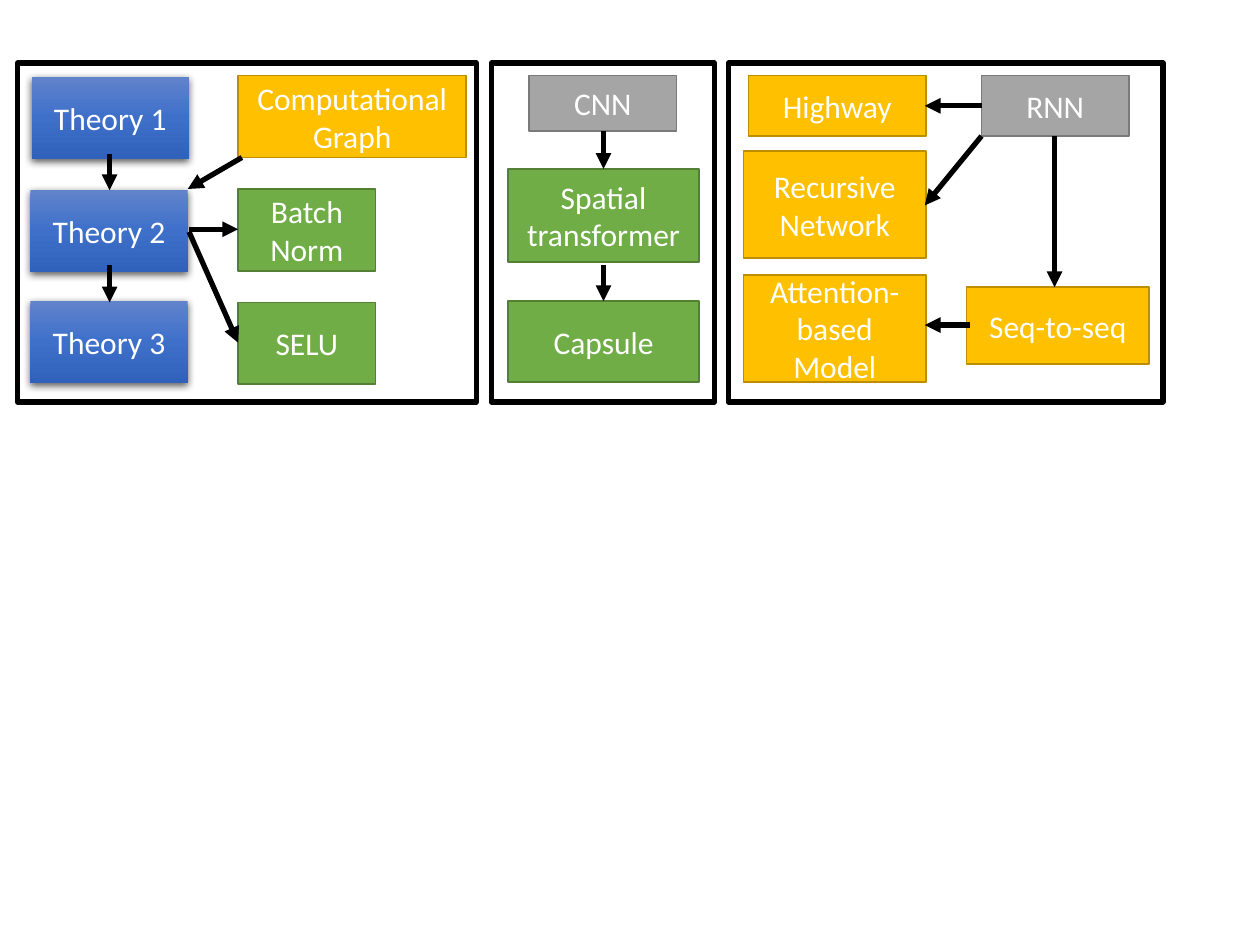
"""Build a slide mapping deep-learning topics in three framed groups."""
from copy import deepcopy
from dataclasses import dataclass, field
from typing import NamedTuple, Optional

from lxml import etree
from pptx import Presentation
from pptx.dml.color import RGBColor
from pptx.enum.shapes import MSO_CONNECTOR, MSO_SHAPE
from pptx.enum.text import MSO_ANCHOR, PP_ALIGN
from pptx.oxml import parse_xml
from pptx.oxml.ns import nsdecls, qn
from pptx.util import Emu, Inches, Pt

RECT = MSO_SHAPE.RECTANGLE
STRAIGHT = MSO_CONNECTOR.STRAIGHT
MIDDLE = MSO_ANCHOR.MIDDLE
CENTER = PP_ALIGN.CENTER
COLUMNS = 100


class Paint(NamedTuple):
    fill: str
    line: str


@dataclass(frozen=True)
class Theme:
    font: str = "Calibri"
    size: float = 18
    text: str = "FFFFFF"
    ink: str = "000000"
    thick: float = 3
    thin: float = 1
    gradient: tuple = ((0, "6183CB"), (0.5, "3E70CA"), (1, "3062BB"))
    paints: dict = field(default_factory=lambda: {
        "gold": Paint("FFC000", "BD8E00"),
        "green": Paint("70AD47", "538035"),
        "gray": Paint("A5A5A5", "7A7A7A"),
    })


class Area(NamedTuple):
    col: float
    row: float
    cols: float
    rows: float


class Box(NamedTuple):
    text: str
    area: Area
    paint: Optional[str] = None


class Arrow(NamedTuple):
    col: float
    row: float
    to_col: float
    to_row: float


THEME = Theme()

FRAMES = [Area(col, 5, cols, 26.9) for col, cols in ((1.4, 36.4), (39, 17.7), (57.8, 34.5))]

BOXES = [
    Box("Theory 1", Area(2.5, 6.1, 12.5, 6.5)),
    Box("Theory 2", Area(2.4, 15.1, 12.5, 6.5)),
    Box("Theory 3", Area(2.4, 23.9, 12.5, 6.5)),
    Box("Computational Graph", Area(18.9, 6, 18.1, 6.5), "gold"),
    Box("Batch Norm", Area(18.9, 15, 10.9, 6.5), "green"),
    Box("SELU", Area(18.9, 24, 10.9, 6.5), "green"),
    Box("CNN", Area(42, 6, 11.7, 4.4), "gray"),
    Box("Spatial transformer", Area(40.3, 13.4, 15.2, 7.4), "green"),
    Box("Capsule", Area(40.3, 23.9, 15.2, 6.4), "green"),
    Box("Highway", Area(59.4, 6, 14.1, 4.8), "gold"),
    Box("Recursive Network", Area(59, 12, 14.5, 8.5), "gold"),
    Box("Attention-based Model", Area(59, 21.8, 14.5, 8.5), "gold"),
    Box("RNN", Area(77.9, 6, 11.7, 4.8), "gray"),
    Box("Seq-to-seq", Area(76.7, 22.8, 14.5, 6.1), "gold"),
]

ARROWS = [
    Arrow(8.7, 12.2, 8.7, 15.1),
    Arrow(8.7, 21, 8.7, 24),
    Arrow(19.2, 12.5, 14.9, 15),
    Arrow(15, 18.2, 18.9, 18.2),
    Arrow(15, 18.4, 18.9, 27.2),
    Arrow(47.9, 10.4, 47.9, 13.4),
    Arrow(47.9, 21, 47.9, 23.9),
    Arrow(77.9, 8.4, 73.4, 8.4),
    Arrow(77.9, 10.8, 73.4, 16.3),
    Arrow(83.7, 10.8, 83.7, 22.8),
    Arrow(77, 25.8, 73.4, 25.8),
]


def rgb(code: str) -> RGBColor:
    """Turn a hex code into a colour."""
    return RGBColor.from_string(code)


def place(unit: float, cells: tuple) -> list:
    """Turn grid cells into slide lengths."""
    return [Emu(round(unit * n)) for n in cells]


def add_rect(s, unit: float, area: Area):
    """Add a rectangle without a theme shadow."""
    sp = s.shapes.add_shape(RECT, *place(unit, area))
    sp.shadow.inherit = False
    return sp


def set_line(line, color: str, width: float) -> None:
    """Set the colour and width of a line."""
    line.color.rgb = rgb(color)
    line.width = Pt(width)


def add_frame(s, unit: float, area: Area) -> None:
    """Add an unfilled frame around a group."""
    sp = add_rect(s, unit, area)
    sp.fill.background()
    set_line(sp.line, THEME.ink, THEME.thick)


def shade(sp) -> None:
    """Give a shape the vertical gradient and a soft shadow."""
    sp.fill.gradient()
    sp.fill.gradient_angle = 270
    stops = sp._element.spPr.find(".//" + qn("a:gsLst"))
    stops.insert(1, deepcopy(stops[0]))
    for stop, (position, color) in zip(sp.fill.gradient_stops, THEME.gradient):
        stop.position = position
        stop.color.rgb = rgb(color)
    sp.line.fill.background()
    sp._element.spPr.find(qn("a:effectLst")).append(parse_xml(
        f'<a:outerShdw {nsdecls("a")} blurRad="{Pt(4.5)}" dist="{Pt(1.5)}" dir="5400000"'
        f' algn="ctr" rotWithShape="0"><a:srgbClr val="{THEME.ink}">'
        '<a:alpha val="63000"/></a:srgbClr></a:outerShdw>'))


def add_box(s, unit: float, box: Box) -> None:
    """Add a labelled topic box."""
    sp = add_rect(s, unit, box.area)
    if box.paint:
        paint = THEME.paints[box.paint]
        sp.fill.solid()
        sp.fill.fore_color.rgb = rgb(paint.fill)
        set_line(sp.line, paint.line, THEME.thin)
    else:
        shade(sp)
    tf = sp.text_frame
    tf.word_wrap = True
    tf.vertical_anchor = MIDDLE
    p = tf.paragraphs[0]
    p.alignment = CENTER
    r = p.add_run()
    r.text = box.text
    r.font.name = THEME.font
    r.font.size = Pt(THEME.size)
    r.font.color.rgb = rgb(THEME.text)


def add_arrow(s, unit: float, arrow: Arrow) -> None:
    """Add a straight arrow with a triangular head."""
    cx = s.shapes.add_connector(STRAIGHT, *place(unit, arrow))
    set_line(cx.line, THEME.ink, THEME.thick)
    etree.SubElement(cx.line._get_or_add_ln(), qn("a:tailEnd"), type="triangle")
    etree.SubElement(cx._element.spPr, qn("a:effectLst"))


def main() -> None:
    """Draw the frames, boxes and arrows and save the slide."""
    prs = Presentation()
    prs.slide_width, prs.slide_height = Inches(10), Inches(7.5)
    s = prs.slides.add_slide(prs.slide_layouts[6])
    unit = prs.slide_width / COLUMNS
    for draw, items in ((add_frame, FRAMES), (add_box, BOXES), (add_arrow, ARROWS)):
        for item in items:
            draw(s, unit, item)
    prs.save("out.pptx")


if __name__ == "__main__":
    main()
